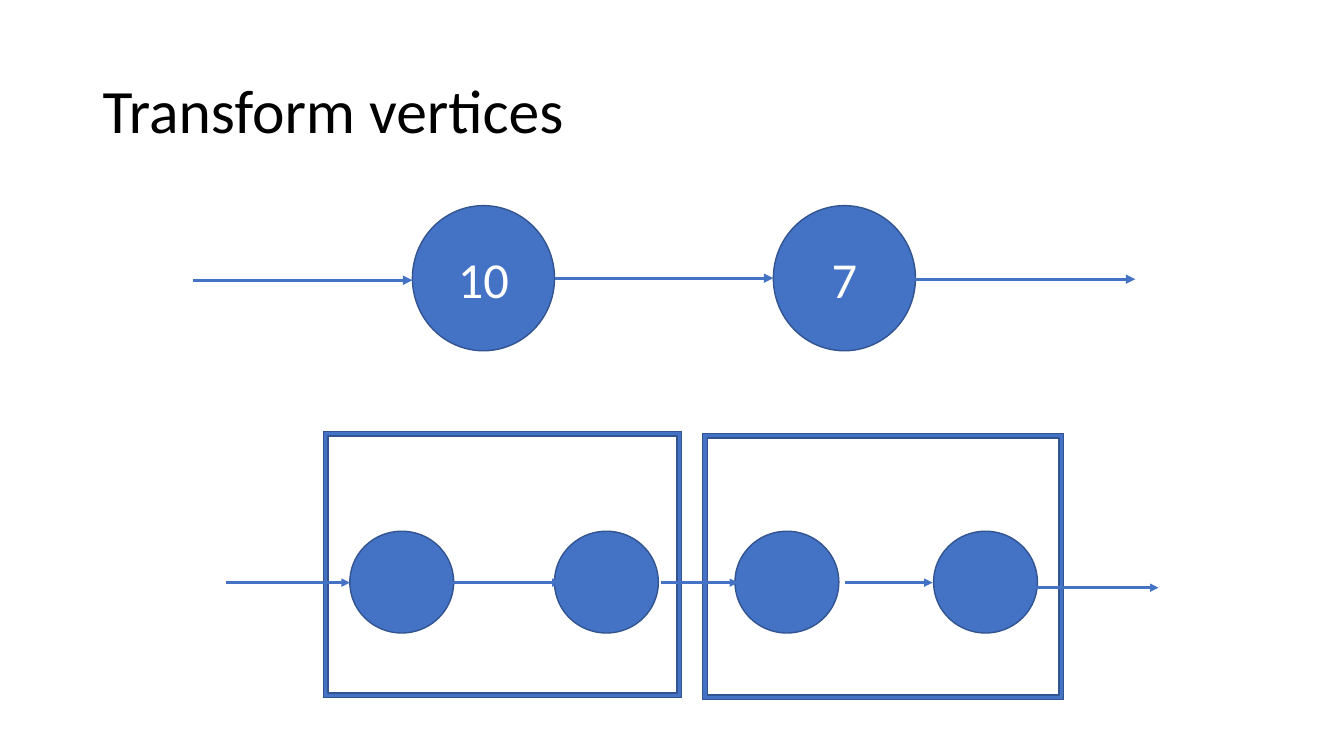
from lxml.etree import SubElement
from pptx import Presentation
from pptx.dml.color import RGBColor
from pptx.enum.shapes import MSO_CONNECTOR as Link, MSO_SHAPE as Form
from pptx.enum.text import MSO_ANCHOR as Anchor, PP_ALIGN as Align
from pptx.oxml.ns import qn
from pptx.util import Pt

PX = 9144  # EMU in one px, 100 px to the inch
HEX = {"blue": "4472C4", "edge": "325491", "white": "FFFFFF", "black": "000000"}
FONT = "Calibri"

TITLE = "Transform vertices"
# left edge and label of each weighted vertex
BIG = [(409, "10"), (767, "7")]
BIG_TOP, BIG_SIZE = 204, (141, 144)
# left edges of the split vertices
SMALL = [347, 550, 729, 926]
SMALL_TOP, SMALL_SIZE = 527, (103, 101)
# left, top, width of each frame around a pair
FRAMES = [(697, 430, 358), (321, 428, 355)]
FRAME_H = 264
# start x, end x, y of each arrow, by line width
ARROWS = {
    2.25: [(550, 767, 276), (908, 1126, 277), (191, 409, 278)],
    2: [(224, 347, 578), (838, 925, 578), (656, 732, 578),
        (433, 556, 578), (1027, 1149, 583)],
}


def color(name):
    return RGBColor.from_string(HEX[name])


def write(box, text, size, tint, align):
    frame = box.text_frame
    frame.word_wrap = True
    frame.vertical_anchor = Anchor.MIDDLE
    para = frame.paragraphs[0]
    para.alignment = align
    run = para.add_run()
    run.text = text
    run.font.name = FONT
    run.font.size = Pt(size)
    run.font.color.rgb = color(tint)
    return para


def draw(slide, form, x, y, w, h):
    shape = slide.shapes.add_shape(form, x * PX, y * PX, w * PX, h * PX)
    shape.shadow.inherit = False
    shape.fill.solid()
    shape.fill.fore_color.rgb = color("blue")
    shape.line.color.rgb = color("edge")
    shape.line.width = Pt(1)
    return shape


def arrow(slide, start, end, y, width):
    link = slide.shapes.add_connector(
        Link.STRAIGHT, start * PX, y * PX, end * PX, y * PX)
    link.line.color.rgb = color("blue")
    link.line.width = Pt(width)
    props = link.line._get_or_add_ln()
    SubElement(props, qn("a:tailEnd"), type="triangle")
    SubElement(props.getparent(), qn("a:effectLst"))


def main():
    deck = Presentation()
    deck.slide_width, deck.slide_height = 1333 * PX, 750 * PX
    slide = deck.slides.add_slide(deck.slide_layouts[6])

    title = slide.shapes.add_textbox(92 * PX, 40 * PX, 1150 * PX, 145 * PX)
    write(title, TITLE, 44, "black", Align.LEFT).line_spacing = 0.9

    for x, label in BIG:
        vertex = draw(slide, Form.OVAL, x, BIG_TOP, *BIG_SIZE)
        write(vertex, label, 36, "white", Align.CENTER)
    for x in SMALL:
        draw(slide, Form.OVAL, x, SMALL_TOP, *SMALL_SIZE)
    for x, y, w in FRAMES:
        draw(slide, Form.FRAME, x, y, w, FRAME_H).adjustments[0] = 0.017
    for width, rows in ARROWS.items():
        for start, end, y in rows:
            arrow(slide, start, end, y, width)

    deck.save("out.pptx")


if __name__ == "__main__":
    main()
